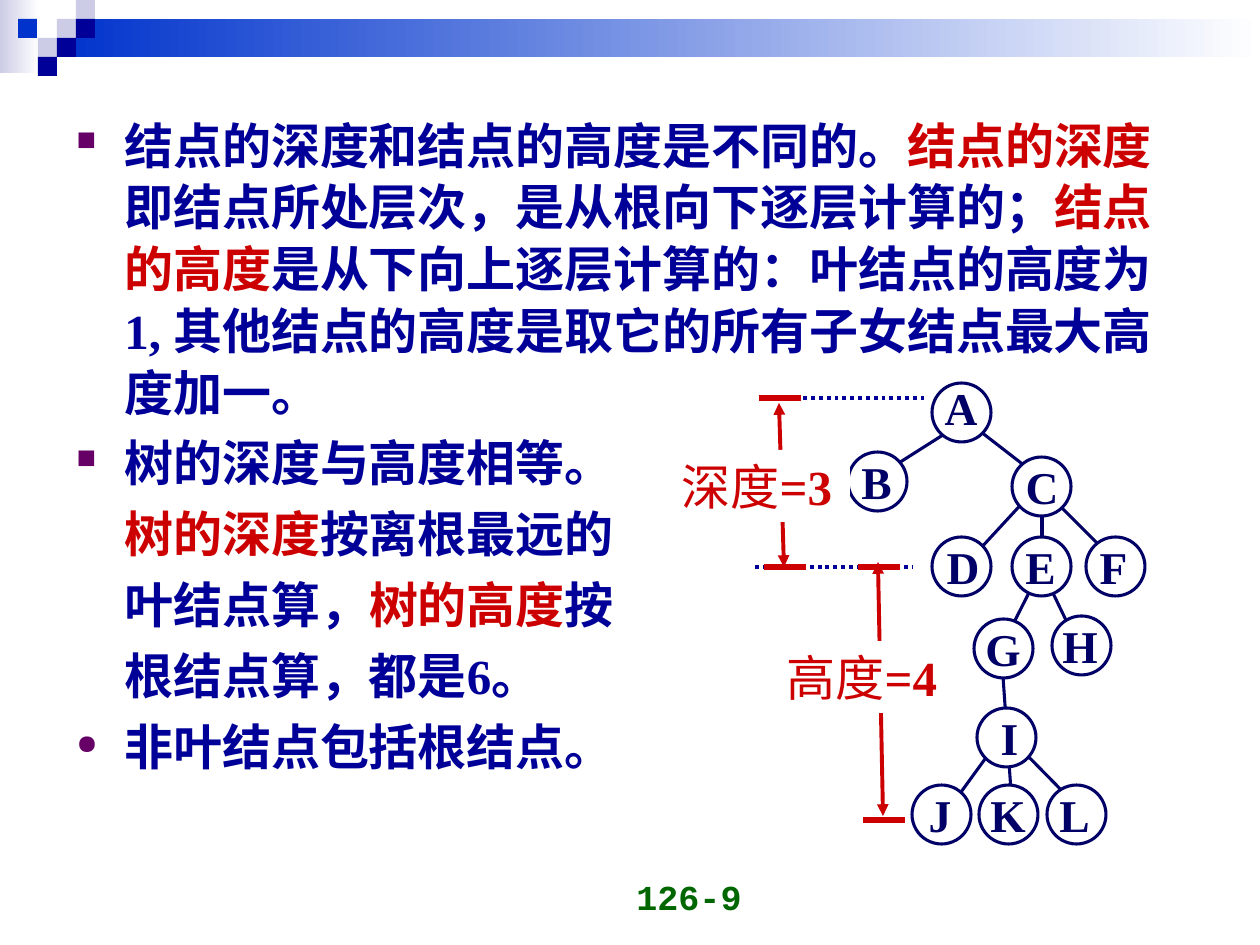
from lxml.etree import SubElement
from pptx import Presentation
from pptx.dml.color import RGBColor
from pptx.enum.dml import MSO_LINE
from pptx.enum.shapes import MSO_CONNECTOR, MSO_SHAPE
from pptx.enum.text import MSO_ANCHOR, PP_ALIGN
from pptx.oxml.ns import qn
from pptx.util import Pt

PX = 914400 / 126
WHITE = RGBColor(0xFF, 0xFF, 0xFF)
LILAC = RGBColor(0xCC, 0xCC, 0xE6)
BLUE = RGBColor(0x00, 0x33, 0xCC)
NAVY = RGBColor(0x00, 0x00, 0x99)
TREE = RGBColor(0x00, 0x00, 0x66)
RED = RGBColor(0xCC, 0x00, 0x00)
PURPLE = RGBColor(0x66, 0x00, 0x66)
GREEN = RGBColor(0x00, 0x66, 0x00)
SERIF, SANS, MONO = "Times New Roman", "Arial", "Courier New"

BANDS = [((0, 0, 39, 73), LILAC), ((57, 19, 1203, 38), BLUE)]
SQUARE = 19
SQUARES = [(57, 19, LILAC), (76, 0, LILAC), (76, 19, NAVY), (38, 38, LILAC),
           (18, 19, BLUE), (57, 38, NAVY), (38, 57, NAVY)]

# (bullet, [(text, colour, font)])
BODY = [
    ("■", [("结点的深度和结点的高度是不同的。", NAVY, SANS),
           ("结点的深度", RED, SANS),
           ("即结点所处层次，是从根向下逐层计算的；", NAVY, SANS),
           ("结点的高度", RED, SANS),
           ("是从下向上逐层计算的：", NAVY, SANS),
           ("叶结点的高度为1, 其他结点的高度是取它的所有子女结点最大高度加一。", NAVY, SERIF)]),
    ("■", [("树的深度与高度相等。", NAVY, SERIF)]),
    (None, [("树的深度", RED, SERIF), ("按离根最远的", NAVY, SERIF)]),
    (None, [("叶结点算，", NAVY, SERIF), ("树的高度", RED, SERIF), ("按", NAVY, SERIF)]),
    (None, [("根结点算，都是6。", NAVY, SERIF)]),
    ("●", [("非叶结点包括根结点。", NAVY, SERIF)]),
]

# letter, circle left and top, letter box left, top and width
NODE, LETTER_HEIGHT = 59, 68
NODES = [
    ("A", 932, 383, 932, 373, 58), ("B", 848, 452, 849, 447, 55),
    ("C", 1012, 457, 1013, 452, 58), ("D", 932, 537, 934, 532, 58),
    ("E", 1012, 537, 1013, 532, 55), ("F", 1086, 537, 1087, 532, 53),
    ("G", 974, 619, 973, 614, 60), ("H", 1052, 616, 1050, 611, 60),
    ("I", 977, 708, 988, 703, 43), ("L", 1047, 785, 1047, 780, 55),
    ("K", 979, 785, 978, 780, 60), ("J", 912, 785, 916, 780, 48),
]
EDGES = [
    (1052, 591, 1076, 641), (1037, 577, 1002, 646), (1002, 662, 1012, 805),
    (1027, 498, 968, 562), (963, 418, 1034, 473), (954, 428, 883, 473),
    (1042, 493, 1042, 572), (1062, 508, 1111, 557), (1017, 745, 1076, 805),
    (988, 755, 948, 810),
]
GUIDES = [(764, 398, 924, 398), (755, 567, 912, 567)]
TICK = 42
# ticks as (left, y), arrow, label text and label left and top
HEIGHT = ([(863, 820), (858, 567)], (883, 816, 878, 562), ("高度", "=4"), (769, 641))
DEPTH = ([(764, 567), (759, 398)], (784, 567, 779, 403), ("深度", "=3"), (664, 450))
MEASURE_LABEL = (186, 72)


def px(*values):
    return [round(value * PX) for value in values]


def add_filled(slide, kind, box, colour):
    shape = slide.shapes.add_shape(kind, *px(*box))
    shape.shadow.inherit = False
    shape.fill.solid()
    shape.fill.fore_color.rgb = colour
    shape.line.fill.background()
    return shape


def add_band(slide, box, colour):
    """Rectangle fading from colour to white, left to right."""
    fill = add_filled(slide, MSO_SHAPE.RECTANGLE, box, colour).fill
    fill.gradient()
    fill.gradient_angle = 0
    for stop, position, shade in zip(fill.gradient_stops, (0, 1), (colour, WHITE)):
        stop.position = position
        stop.color.rgb = shade


def add_line(slide, ends, colour, width, dash=None, arrows=False):
    line = slide.shapes.add_connector(MSO_CONNECTOR.STRAIGHT, *px(*ends))
    line.line.color.rgb = colour
    line.line.width = Pt(width)
    if dash:
        line.line.dash_style = dash
    if arrows:
        for end in ("a:headEnd", "a:tailEnd"):
            SubElement(line.line._get_or_add_ln(), qn(end), type="triangle")
    SubElement(line._element.spPr, qn("a:effectLst"))


def add_run(paragraph, text, size, font, colour, bold=True):
    run = paragraph.add_run()
    run.text = text
    run.font.size = Pt(size)
    run.font.name = font
    run.font.bold = bold
    run.font.color.rgb = colour


def center_text(shape):
    """Centre the unwrapped text of a shape and return its paragraph."""
    frame = shape.text_frame
    frame.word_wrap = False
    frame.vertical_anchor = MSO_ANCHOR.MIDDLE
    frame.paragraphs[0].alignment = PP_ALIGN.CENTER
    return frame.paragraphs[0]


def add_body(slide):
    frame = slide.shapes.add_textbox(*px(64, 106, 1134, 794)).text_frame
    frame.word_wrap = True
    indent = px(48)[0]
    for index, (bullet, runs) in enumerate(BODY):
        paragraph = frame.add_paragraph() if index else frame.paragraphs[0]
        paragraph.line_spacing = 1.05
        if index:
            paragraph.space_before = Pt(5.2)
        properties = paragraph._p.get_or_add_pPr()
        properties.set("marL", str(indent))
        properties.set("indent", str(-indent if bullet else 0))
        if bullet:
            color = SubElement(properties, qn("a:buClr"))
            SubElement(color, qn("a:srgbClr"), val=str(PURPLE))
            SubElement(properties, qn("a:buSzPct"), val="55000")
            SubElement(properties, qn("a:buChar"), char=bullet)
        for text, colour, font in runs:
            add_run(paragraph, text, 28, font, colour)


def add_page_number(slide):
    frame = slide.shapes.add_textbox(*px(460, 861, 294, 63)).text_frame
    frame.word_wrap = True
    frame.vertical_anchor = MSO_ANCHOR.BOTTOM
    frame.paragraphs[0].alignment = PP_ALIGN.RIGHT
    add_run(frame.paragraphs[0], "126-9", 20, MONO, GREEN)


def add_tree(slide):
    for edge in EDGES:
        add_line(slide, edge, TREE, 1.75)
    for letter, left, top, letter_left, letter_top, width in NODES:
        circle = add_filled(slide, MSO_SHAPE.OVAL, (left, top, NODE, NODE), WHITE)
        circle.line.color.rgb = TREE
        circle.line.width = Pt(1.75)
        box = slide.shapes.add_textbox(*px(letter_left, letter_top, width, LETTER_HEIGHT))
        add_run(center_text(box), letter, 26, SERIF, TREE)


def add_measure_lines(slide, ticks, arrow):
    (first, second) = [(left, y, left + TICK, y) for left, y in ticks]
    add_line(slide, first, RED, 3)
    add_line(slide, arrow, RED, 2.25, arrows=True)
    add_line(slide, second, RED, 3)


def add_measure_label(slide, words, corner):
    label = add_filled(slide, MSO_SHAPE.RECTANGLE, corner + MEASURE_LABEL, WHITE)
    paragraph = center_text(label)
    for text, bold in zip(words, (False, True)):
        add_run(paragraph, text, 28, SERIF, RED, bold)


def main():
    presentation = Presentation()
    presentation.slide_width, presentation.slide_height = px(1260, 945)
    slide = presentation.slides.add_slide(presentation.slide_layouts[6])
    for box, colour in BANDS:
        add_band(slide, box, colour)
    for left, top, colour in SQUARES:
        add_filled(slide, MSO_SHAPE.RECTANGLE, (left, top, SQUARE, SQUARE), colour)
    add_page_number(slide)
    add_body(slide)
    for guide in GUIDES:
        add_line(slide, guide, NAVY, 2.25, dash=MSO_LINE.ROUND_DOT)
    # The labels cover the middle of their arrows, so the order matters.
    add_measure_lines(slide, *HEIGHT[:2])
    add_tree(slide)
    add_measure_label(slide, *HEIGHT[2:])
    add_measure_lines(slide, *DEPTH[:2])
    add_measure_label(slide, *DEPTH[2:])
    presentation.save("out.pptx")


if __name__ == "__main__":
    main()
